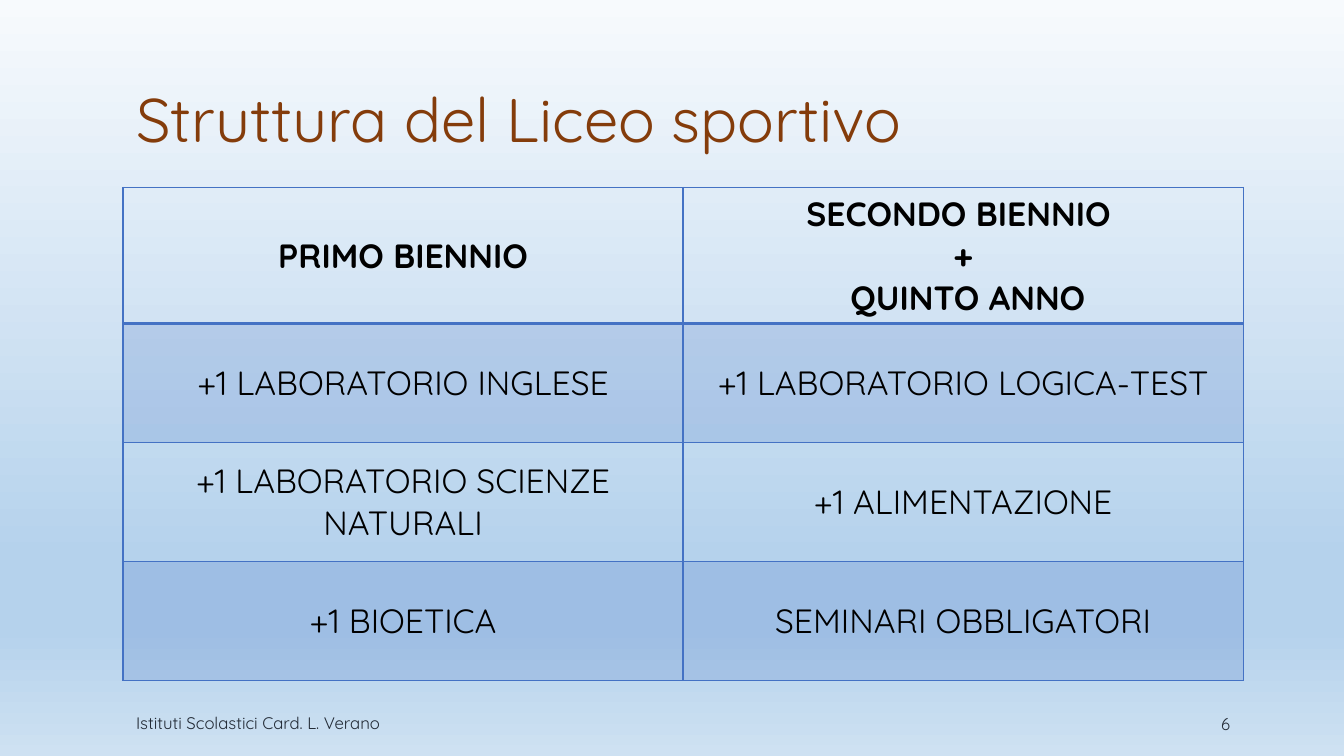
import dataclasses

import lxml.etree
import pptx
import pptx.dml.color
import pptx.enum.text
import pptx.oxml.ns
import pptx.util

Inches = pptx.util.Inches
Align = pptx.enum.text.PP_ALIGN
Anchor = pptx.enum.text.MSO_ANCHOR
qn = pptx.oxml.ns.qn

FONT = "Quicksand"
BLUE = "4472C4"
STOPS = [(0, "F7FAFD"), (74, "B5D2EC"), (83, "B5D2EC"), (100, "CEE1F2")]


@dataclasses.dataclass
class Note:
    text: str
    left: float
    top: float
    width: float
    align: Align


NOTES = [
    Note("Istituti Scolastici Card. L. Verano", 1.22, 6.99, 6.8, Align.LEFT),
    Note("6", 11.12, 7, 1.21, Align.RIGHT),
]
ROWS = [
    ("PRIMO BIENNIO", "SECONDO BIENNIO \n+\n QUINTO ANNO"),
    ("+1 LABORATORIO INGLESE", "+1 LABORATORIO LOGICA-TEST"),
    ("+1 LABORATORIO SCIENZE NATURALI", "+1 ALIMENTAZIONE"),
    ("+1 BIOETICA", "SEMINARI OBBLIGATORI"),
]


def tint(code: str) -> pptx.dml.color.RGBColor:
    return pptx.dml.color.RGBColor.from_string(code)


def style(frame, size: float, code: str, align: Align, bold: bool = False) -> None:
    for par in frame.paragraphs:
        par.alignment = align
        for run in par.runs:
            run.font.name = FONT
            run.font.size = pptx.util.Pt(size)
            run.font.bold = bold
            run.font.color.rgb = tint(code)


def inset(frame) -> None:
    frame.word_wrap = True
    frame.auto_size = pptx.enum.text.MSO_AUTO_SIZE.NONE
    frame.vertical_anchor = Anchor.BOTTOM
    frame.margin_left = frame.margin_right = Inches(0.13)
    frame.margin_top = frame.margin_bottom = Inches(0.07)


def node(root, tag: str, **attrs: str):
    return lxml.etree.SubElement(root, qn(tag), **attrs)


def shade(slide) -> None:
    fill = slide.background.fill
    fill.gradient()
    fill.gradient_angle = 270
    stops = slide.element.find(".//" + qn("a:gsLst"))
    for stop in list(stops):
        stops.remove(stop)
    for place, code in STOPS:
        stop = node(stops, "a:gs", pos=str(place * 1000))
        node(stop, "a:srgbClr", val=code)


def edge(cell, side: str, width: float) -> None:
    line = node(cell._tc.get_or_add_tcPr(), "a:ln" + side,
                w=str(pptx.util.Pt(width)))
    node(node(line, "a:solidFill"), "a:srgbClr", val=BLUE)


def paint(cell, text: str, row: int) -> None:
    cell.text_frame.text = text
    cell.vertical_anchor = Anchor.MIDDLE
    style(cell.text_frame, 24, "000000", Align.CENTER, row == 0)
    for side in "LRTB":
        thick = (row == 0 and side == "B") or (row == 1 and side == "T")
        edge(cell, side, 2 if thick else 1)
    if row % 2:
        cell.fill.solid()
        cell.fill.fore_color.rgb = tint(BLUE)
        hue = cell._tc.tcPr.find(qn("a:solidFill")).find(qn("a:srgbClr"))
        node(hue, "a:alpha", val="20000")
    else:
        cell.fill.background()


def head(slide) -> None:
    title = slide.shapes.title
    title.left, title.top = Inches(1.22), Inches(0.08)
    title.width, title.height = Inches(11.11), Inches(1.53)
    frame = title.text_frame
    frame.text = "Struttura del Liceo sportivo"
    inset(frame)
    frame.paragraphs[0].line_spacing = 0.85
    style(frame, 44, "843C0B", Align.LEFT)


def grid(slide) -> None:
    table = slide.shapes.add_table(
        len(ROWS), 2, Inches(1.22), Inches(1.86), Inches(11.11), Inches(4.72)
    ).table
    table.first_row = table.horz_banding = False
    for row, texts in enumerate(ROWS):
        table.rows[row].height = Inches(1.18)
        for col, text in enumerate(texts):
            paint(table.cell(row, col), text, row)


def foot(slide, note: Note) -> None:
    box = slide.shapes.add_textbox(
        Inches(note.left), Inches(note.top), Inches(note.width), Inches(0.35)
    )
    box.text_frame.text = note.text
    inset(box.text_frame)
    style(box.text_frame, 12, "222A35", note.align)


def main() -> None:
    deck = pptx.Presentation()
    deck.slide_width, deck.slide_height = Inches(13.33), Inches(7.5)
    slide = deck.slides.add_slide(deck.slide_layouts[5])
    shade(slide)
    head(slide)
    grid(slide)
    for note in NOTES:
        foot(slide, note)
    deck.save("out.pptx")


if __name__ == "__main__":
    main()
